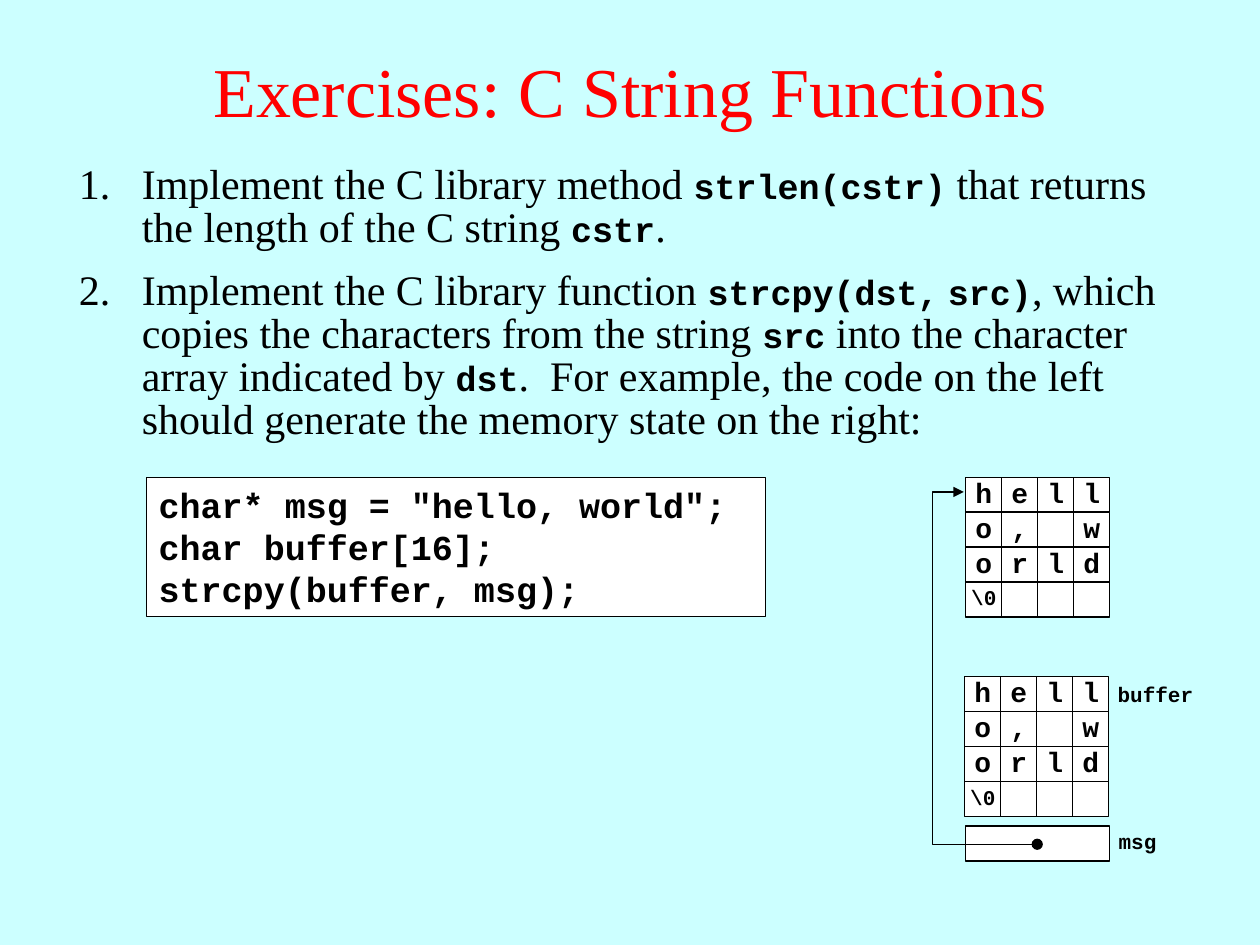
"""Build the slide of exercises on C string functions."""
from itertools import product

from lxml.etree import SubElement
from pptx import Presentation
from pptx.dml.color import RGBColor
from pptx.enum.shapes import MSO_CONNECTOR, MSO_SHAPE
from pptx.enum.text import MSO_ANCHOR, PP_ALIGN
from pptx.oxml.ns import qn
from pptx.util import Cm, Pt

TITLE = "Exercises: C String Functions"
EXERCISES = [
    [("Implement the C library method ", "body"), ("strlen(cstr)", "code"),
     (" that returns the length of the C string ", "body"), ("cstr", "code"), (".", "body")],
    [("Implement the C library function ", "body"), ("strcpy(dst,", "code"),
     (" ", "gap"), ("src)", "code"),
     (", which copies the characters from the string ", "body"), ("src", "code"),
     (" into the character array indicated by ", "body"), ("dst", "code"),
     (".  For example, the code on the left should generate the memory state on the right:",
      "body")],
]
CODE = ['char* msg = "hello, world";', "char buffer[16];", "strcpy(buffer, msg);"]
MEMORY = [
    ["h", "e", "l", "l"],
    ["o", ",", "", "w"],
    ["o", "r", "l", "d"],
    ["\\0", "", "", ""],
]
GRIDS = [(19.47, 9.62), (19.45, 13.64)]
LABELS = [("buffer", 22.28, 13.61, 2.06), ("msg", 22.3, 16.57, 1.63)]

SERIF, MONO = "Times New Roman", "Courier New"
BLACK, WHITE = RGBColor(0, 0, 0), RGBColor(255, 255, 255)
THEME = {
    "background": RGBColor(0xCC, 0xFF, 0xFF),
    "line": Pt(0.75),
    "title": ({"name": SERIF, "size": Pt(40), "bold": False}, RGBColor(255, 0, 0)),
    "body": ({"name": SERIF, "size": Pt(24), "bold": False}, BLACK),
    "gap": ({"name": SERIF, "size": Pt(20), "bold": True}, BLACK),
    "code": ({"name": MONO, "size": Pt(20), "bold": True}, BLACK),
    "cell": ({"name": MONO, "size": Pt(16), "bold": True}, BLACK),
    "small": ({"name": MONO, "size": Pt(12), "bold": True}, BLACK),
}
GRID_WIDTH, GRID_HEIGHT = 2.9, 2.82
COLUMN, ROW = GRID_WIDTH / 4, GRID_HEIGHT / 4


def apply(target, values):
    for attribute, value in values.items():
        setattr(target, attribute, value)


def style(font, role):
    values, color = THEME[role]
    apply(font, values)
    font.color.rgb = color


def add_box(slide, left, top, width, height, fill=WHITE, kind=MSO_SHAPE.RECTANGLE):
    box = slide.shapes.add_shape(kind, Cm(left), Cm(top), Cm(width), Cm(height))
    box.shadow.inherit = False
    box.fill.solid()
    box.fill.fore_color.rgb = fill
    box.line.color.rgb = BLACK
    box.line.width = THEME["line"]
    return box


def add_line(slide, start, end, kind=MSO_CONNECTOR.STRAIGHT):
    line = slide.shapes.add_connector(kind, *map(Cm, start + end))
    line.line.color.rgb = BLACK
    line.line.width = THEME["line"]
    SubElement(line._element.spPr, qn("a:effectLst"))
    return line


def add_text(slide, text, left, top, width, height, role, align=PP_ALIGN.LEFT):
    frame = slide.shapes.add_textbox(Cm(left), Cm(top), Cm(width), Cm(height)).text_frame
    frame.word_wrap = False
    paragraph = frame.paragraphs[0]
    paragraph.text = text
    paragraph.alignment = align
    style(paragraph.runs[0].font, role)


def add_title(slide):
    title = slide.shapes.title
    apply(title, {"left": Cm(0), "top": Cm(0.21), "width": Cm(25.4), "height": Cm(3.18)})
    title.text_frame.text = TITLE
    title.text_frame.vertical_anchor = MSO_ANCHOR.MIDDLE
    paragraph = title.text_frame.paragraphs[0]
    paragraph.alignment = PP_ALIGN.CENTER
    style(paragraph.runs[0].font, "title")


def add_exercises(slide):
    frame = slide.shapes.add_textbox(Cm(1.34), Cm(3.2), Cm(22.7), Cm(6.15)).text_frame
    frame.word_wrap = True
    for number, parts in enumerate(EXERCISES):
        paragraph = frame.add_paragraph() if number else frame.paragraphs[0]
        apply(paragraph, {"line_spacing": 0.85, "space_after": Pt(12)})
        properties = paragraph._p.get_or_add_pPr()
        properties.set("marL", str(Cm(1.27)))
        properties.set("indent", str(-Cm(1.27)))
        SubElement(properties, qn("a:buFont"), typeface="+mj-lt")
        SubElement(properties, qn("a:buAutoNum"), type="arabicPeriod")
        for part, role in parts:
            run = paragraph.add_run()
            run.text = part
            style(run.font, role)


def add_code(slide):
    frame = add_box(slide, 2.95, 9.62, 12.48, 2.81).text_frame
    apply(frame, {"word_wrap": True, "vertical_anchor": MSO_ANCHOR.TOP})
    for number, statement in enumerate(CODE):
        paragraph = frame.add_paragraph() if number else frame.paragraphs[0]
        paragraph.text = statement
        paragraph.alignment = PP_ALIGN.LEFT
        style(paragraph.runs[0].font, "code")


def add_memory(slide, left, top):
    for row in range(4):
        y = top + row * ROW
        add_box(slide, left, y, GRID_WIDTH, ROW)
        for column in range(1, 4):
            x = left + column * COLUMN
            add_line(slide, (x, y), (x, y + ROW))
    for row, column in product(range(4), repeat=2):
        character = MEMORY[row][column]
        if character:
            width, height, role = (0.84, 0.94, "cell") if len(character) == 1 else (1.07, 0.76, "small")
            add_text(slide, character, left + (column + 0.5) * COLUMN - width / 2,
                     top + (row + 0.5) * ROW - height / 2 - 0.04,
                     width, height, role, PP_ALIGN.CENTER)


def add_pointer(slide):
    add_box(slide, 19.47, 16.65, GRID_WIDTH, ROW)
    add_box(slide, 20.81, 16.92, 0.2, 0.2, BLACK, MSO_SHAPE.OVAL)
    arrow = add_line(slide, (20.81, 17.02), (19.43, 9.92), MSO_CONNECTOR.ELBOW)
    guides = arrow._element.spPr.find(qn("a:prstGeom")).get_or_add_avLst()
    SubElement(guides, qn("a:gd"), name="adj1", fmla="val 145900")
    SubElement(arrow.line._get_or_add_ln(), qn("a:tailEnd"), type="triangle")


def main():
    presentation = Presentation()
    apply(presentation, {"slide_width": Cm(25.4), "slide_height": Cm(19.05)})
    slide = presentation.slides.add_slide(presentation.slide_layouts[5])
    slide.background.fill.solid()
    slide.background.fill.fore_color.rgb = THEME["background"]
    add_title(slide)
    add_exercises(slide)
    add_code(slide)
    for left, top in GRIDS:
        add_memory(slide, left, top)
    add_pointer(slide)
    for text, left, top, width in LABELS:
        add_text(slide, text, left, top, width, 0.76, "small")
    presentation.save("out.pptx")


if __name__ == "__main__":
    main()
